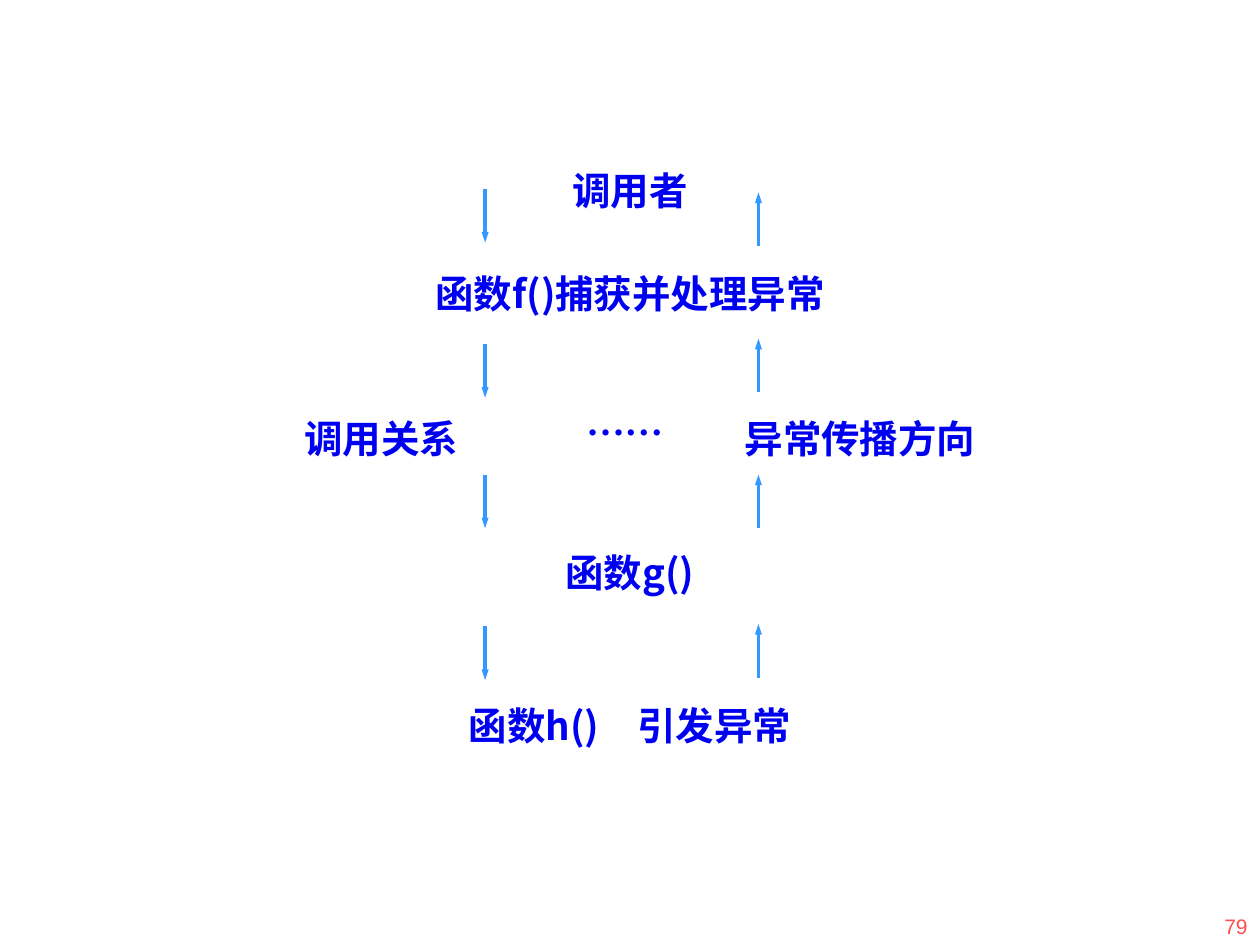
from pptx import Presentation
from pptx.dml.color import RGBColor
from pptx.enum.shapes import MSO_CONNECTOR
from pptx.enum.text import MSO_ANCHOR, PP_ALIGN
from pptx.oxml.ns import qn
from pptx.util import Pt
from lxml import etree

STRAIGHT = MSO_CONNECTOR.STRAIGHT
MIDDLE, BOTTOM = MSO_ANCHOR.MIDDLE, MSO_ANCHOR.BOTTOM
CENTER, RIGHT = PP_ALIGN.CENTER, PP_ALIGN.RIGHT

THEME = {
    "label": {"font": "Noto Sans CJK SC", "size": 22, "color": "0000F1", "bold": True},
    "dots": {"font": "Times New Roman", "size": 22, "color": "0000F1", "bold": True},
    "number": {"font": "Arial", "size": 12, "color": "FF5050", "bold": False},
    "east_asian": "Noto Sans CJK SC",
    "arrow": "3399FF",
    "arrow_width": 2,
}

# Content: text, style, centre x, centre y, width, height
LABELS = [
    ("调用者", "label", 360, 108.4, 123, 28),
    ("函数f()捕获并处理异常", "label", 360, 167.4, 267, 42.5),
    ("……", "dots", 357, 240.2, 232, 32.4),
    ("函数g()", "label", 360, 327.2, 267, 42.5),
    ("函数h()　引发异常", "label", 360, 414.4, 267, 42.5),
    ("调用关系", "label", 217.8, 250.2, 123, 28),
    ("异常传播方向", "label", 491.4, 250.2, 133.2, 28),
]
PAGE_NUMBER = "79"

# Arrow columns: x and the top of each arrow
CALLS_X, CALL_TOPS = 277.2, (108, 196.6, 271.2, 358)
RAISES_X, RAISE_TOPS = 433.4, (110, 193.6, 271.2, 356.6)
ARROW_LENGTH = 30.6


def add_text(s, text, style, left, top, width, height, align=CENTER, anchor=MIDDLE, inset=(0, 0)):
    look = THEME[style]
    tf = s.shapes.add_textbox(Pt(left), Pt(top), Pt(width), Pt(height)).text_frame
    tf.word_wrap = True
    tf.vertical_anchor = anchor
    tf.margin_left = tf.margin_right = Pt(inset[0])
    tf.margin_top = tf.margin_bottom = Pt(inset[1])
    p = tf.paragraphs[0]
    p.text = text
    p.alignment = align
    font = p.runs[0].font
    font.name, font.size, font.bold = look["font"], Pt(look["size"]), look["bold"]
    font.color.rgb = RGBColor.from_string(look["color"])
    ea = etree.SubElement(p.runs[0]._r.get_or_add_rPr(), qn("a:ea"))
    ea.set("typeface", THEME["east_asian"])


def add_arrow(s, x, start, end):
    c = s.shapes.add_connector(STRAIGHT, Pt(x), Pt(start), Pt(x), Pt(end))
    c.line.color.rgb = RGBColor.from_string(THEME["arrow"])
    c.line.width = Pt(THEME["arrow_width"])
    head = etree.SubElement(c.line._get_or_add_ln(), qn("a:tailEnd"))
    for name, value in (("type", "triangle"), ("w", "sm"), ("len", "med")):
        head.set(name, value)
    etree.SubElement(c._element.spPr, qn("a:effectLst"))


def main():
    prs = Presentation()
    prs.slide_width, prs.slide_height = Pt(720), Pt(540)
    s = prs.slides.add_slide(prs.slide_layouts[6])

    # Call chain and side labels
    for text, style, cx, cy, width, height in LABELS:
        add_text(s, text, style, cx - width / 2, cy - height / 2, width, height)

    # Calls go down, exceptions travel up
    for top in CALL_TOPS:
        add_arrow(s, CALLS_X, top, top + ARROW_LENGTH)
    for top in RAISE_TOPS:
        add_arrow(s, RAISES_X, top + ARROW_LENGTH, top)

    # Page number
    add_text(s, PAGE_NUMBER, "number", 638, 504, 82, 36, RIGHT, BOTTOM, (7.2, 3.6))

    prs.save("out.pptx")


if __name__ == "__main__":
    main()
